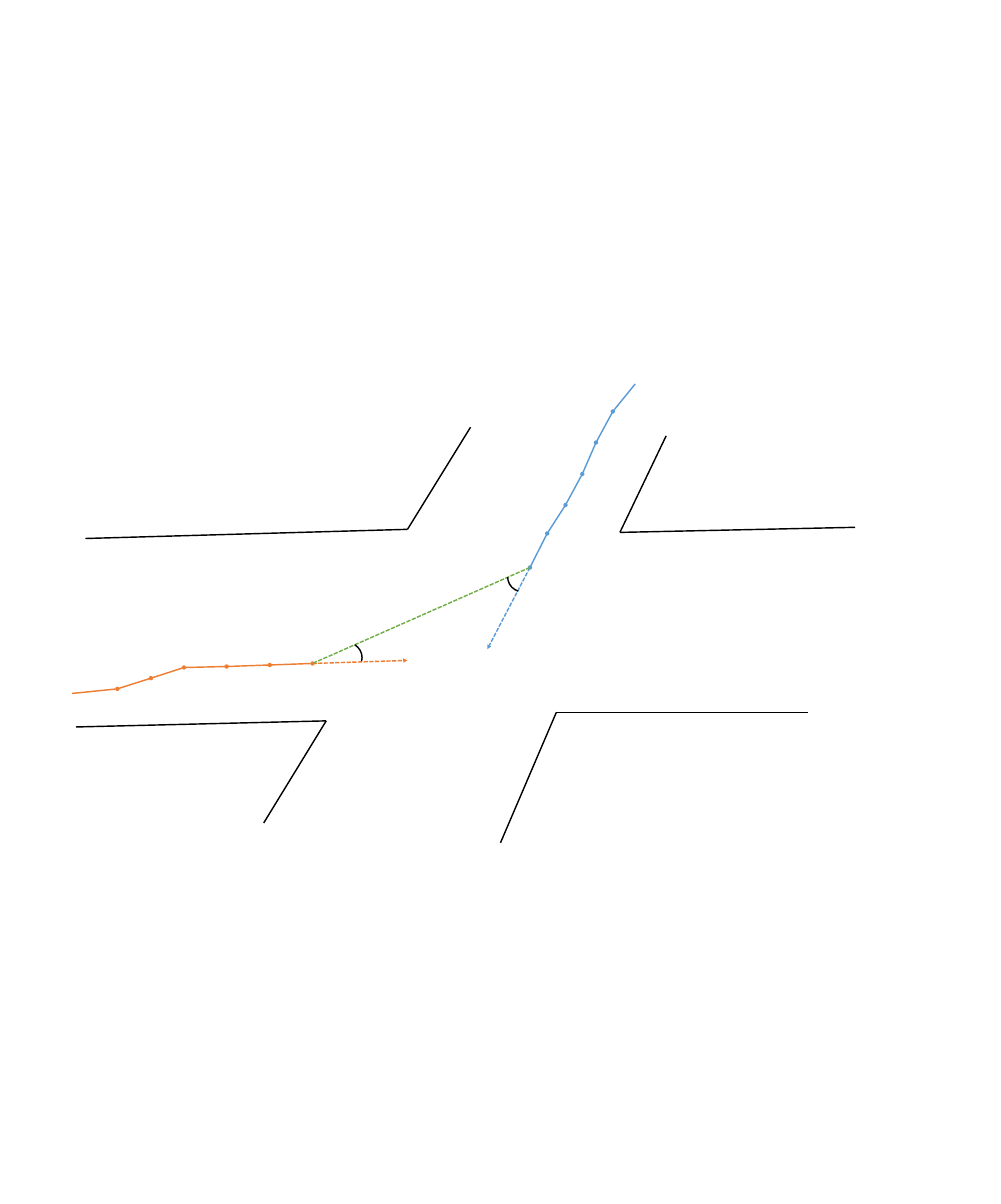
from dataclasses import dataclass
from itertools import pairwise

from lxml.etree import SubElement
from pptx import Presentation
from pptx.dml.color import RGBColor as Color
from pptx.enum.dml import MSO_LINE as Dash
from pptx.enum.shapes import MSO_CONNECTOR as Link, MSO_SHAPE as Shape
from pptx.oxml.ns import qn
from pptx.util import Inches, Pt


@dataclass(frozen=True)
class Theme:
    road: str = "000000"
    east: str = "ED7D31"
    south: str = "5B9BD5"
    gap: str = "70AD47"
    width: float = 2


# Content: points as (column, row) on a grid of one-inch cells
THEME = Theme()
COLS, ROWS = 19.7, 23.7

ROADS = [
    [(1.68, 10.6), (8.02, 10.42), (9.26, 8.41)],
    [(13.11, 8.58), (12.2, 10.48), (16.83, 10.38)],
    [(1.5, 14.31), (6.42, 14.19), (5.19, 16.2)],
    [(15.9, 14.02), (10.95, 14.02), (9.85, 16.59)],
]

# Each track runs from the latest position back to the first
TRACKS = [
    dict(
        color=THEME.south,
        past=[(10.43, 11.17), (10.77, 10.5), (11.13, 9.94), (11.46, 9.33),
              (11.73, 8.71), (12.06, 8.1), (12.5, 7.56)],
        aim=(9.59, 12.78),
    ),
    dict(
        color=THEME.east,
        past=[(6.15, 13.06), (5.31, 13.09), (4.46, 13.12), (3.62, 13.14),
              (2.97, 13.35), (2.31, 13.56), (1.42, 13.65)],
        aim=(8.02, 13),
    ),
]

# Angle marks: left, top, turn in degrees
ANGLES = [(6.54, 12.65, 32), (9.99, 11.09, 197.7)]
ARC_SIZE = (0.59, 0.56)
ARC_SPAN = (162, 206.71)

# Slide
deck = Presentation()
deck.slide_width, deck.slide_height = Inches(COLS), Inches(ROWS)
slide = deck.slides.add_slide(deck.slide_layouts[6])


def pen(line, color):
    line.color.rgb = Color.from_string(color)
    line.width = Pt(THEME.width)


def draw(start, end, color, dash=None, head=None, tail=None):
    link = slide.shapes.add_connector(
        Link.STRAIGHT, *(Inches(v) for v in (*start, *end)))
    pen(link.line, color)
    if dash:
        link.line.dash_style = dash
    props = link._element.spPr
    stroke = props.find(qn("a:ln"))
    for tag, kind in (("a:headEnd", head), ("a:tailEnd", tail)):
        if kind:
            SubElement(stroke, qn(tag), type=kind)
    SubElement(props, qn("a:effectLst"))


# Tracks with their headings
for track in TRACKS:
    color, past = track["color"], track["past"]
    for start, end in pairwise(past):
        draw(start, end, color, head="oval")
    draw(past[0], track["aim"], color, Dash.SQUARE_DOT, tail="triangle")

# Line between the two latest positions
draw(*(track["past"][0] for track in TRACKS), THEME.gap, Dash.SQUARE_DOT)

# Angle marks
for left, top, turn in ANGLES:
    arc = slide.shapes.add_shape(
        Shape.ARC, *(Inches(v) for v in (left, top, *ARC_SIZE)))
    arc.adjustments[0], arc.adjustments[1] = ARC_SPAN
    arc.rotation = turn
    arc.shadow.inherit = False
    arc.fill.background()
    pen(arc.line, THEME.road)

# Road edges
for road in ROADS:
    for start, end in pairwise(road):
        draw(start, end, THEME.road)

deck.save("out.pptx")
